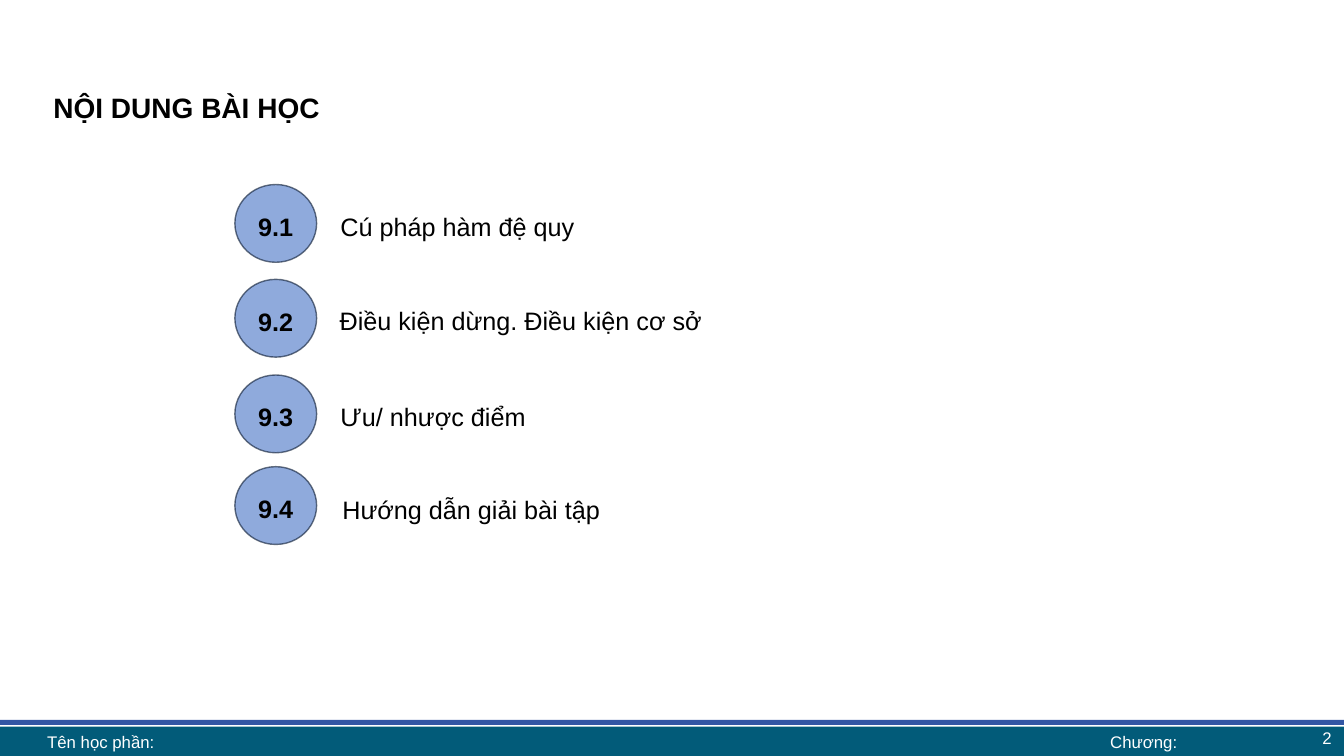
from lxml import etree
from pptx import Presentation
from pptx.dml.color import RGBColor
from pptx.enum.shapes import MSO_SHAPE as Shape
from pptx.enum.text import MSO_ANCHOR as Anchor, PP_ALIGN as Align
from pptx.oxml.ns import qn
from pptx.util import Cm, Pt

COLORS = {
    "black": "000000",
    "white": "FFFFFF",
    "teal": "025B79",
    "blue": "3256A4",
    "circle": "8FAADC",
    "outline": "08172E",
}


def add_filled(kind, left, top, width, height, color):
    shape = page.shapes.add_shape(kind, Cm(left), Cm(top), Cm(width), Cm(height))
    shape.shadow.inherit = False
    shape.fill.solid()
    shape.fill.fore_color.rgb = RGBColor.from_string(COLORS[color])
    shape.line.fill.background()
    return shape


def write(box, text, size, color="black", bold=False, align=Align.LEFT,
          anchor=Anchor.TOP, spacing=None, before=0):
    """Fill a box with one formatted paragraph."""
    frame = box.text_frame
    frame.text = text
    frame.word_wrap = True
    frame.vertical_anchor = anchor
    para = frame.paragraphs[0]
    para.alignment = align
    para.line_spacing = spacing
    para.space_before = Pt(before)
    font = para.runs[0].font
    font.name = "Arial"
    font.size = Pt(size)
    font.bold = bold
    font.color.rgb = RGBColor.from_string(COLORS[color])


deck = Presentation()
deck.slide_width, deck.slide_height = Cm(33.87), Cm(19.05)
page = deck.slides.add_slide(deck.slide_layouts[5])

# Footer bands
add_filled(Shape.RECTANGLE, 0, 18.31, 33.87, 0.79, "teal")
add_filled(Shape.RECTANGLE, -0.03, 18.14, 33.93, 0.13, "blue")

# Title
title = page.shapes.title
title.left, title.top, title.width, title.height = Cm(1.09), Cm(1.98), Cm(31.67), Cm(2.21)
write(title, "NỘI DUNG BÀI HỌC", 20, bold=True, align=Align.JUSTIFY, spacing=1.2, before=5)

# Lesson sections: circle top, label left, label top, label width, label
sections = [
    (4.65, 8.33, 5.08, 19.23, "Cú pháp hàm đệ quy"),
    (7.04, 8.31, 7.44, 19.35, "Điều kiện dừng. Điều kiện cơ sở"),
    (9.45, 8.33, 9.88, 12.85, "Ưu/ nhược điểm"),
    (11.76, 8.38, 12.22, 15.75, "Hướng dẫn giải bài tập"),
]
for number, (circle_top, left, top, width, label) in enumerate(sections, 1):
    circle = add_filled(Shape.OVAL, 5.92, circle_top, 2.06, 1.96, "circle")
    circle.line.color.rgb = RGBColor.from_string(COLORS["outline"])
    circle.line.width = Pt(1)
    outline_color = circle.line.fill._xPr.find(".//" + qn("a:srgbClr"))
    etree.SubElement(outline_color, qn("a:alpha"), val="60000")
    write(circle, f"9.{number}", 18, bold=True, align=Align.CENTER,
          anchor=Anchor.MIDDLE, spacing=1.2, before=5)

    label_box = page.shapes.add_textbox(Cm(left), Cm(top), Cm(width), Cm(1.07))
    write(label_box, label, 18, align=Align.JUSTIFY, spacing=Pt(25), before=5)

# Footer texts: left, top, width, height, text, alignment
footers = [
    (26.19, 18.14, 7.62, 0.89, "2", Align.RIGHT),
    (26.92, 18.31, 3.81, 0.79, "Chương:", Align.CENTER),
    (0.94, 18.31, 26.01, 0.79, "Tên học phần:", Align.LEFT),
]
for left, top, width, height, text, align in footers:
    footer = page.shapes.add_textbox(Cm(left), Cm(top), Cm(width), Cm(height))
    footer.text_frame.margin_top = footer.text_frame.margin_bottom = 0
    write(footer, text, 12, "white", align=align, anchor=Anchor.MIDDLE)

deck.save("out.pptx")
